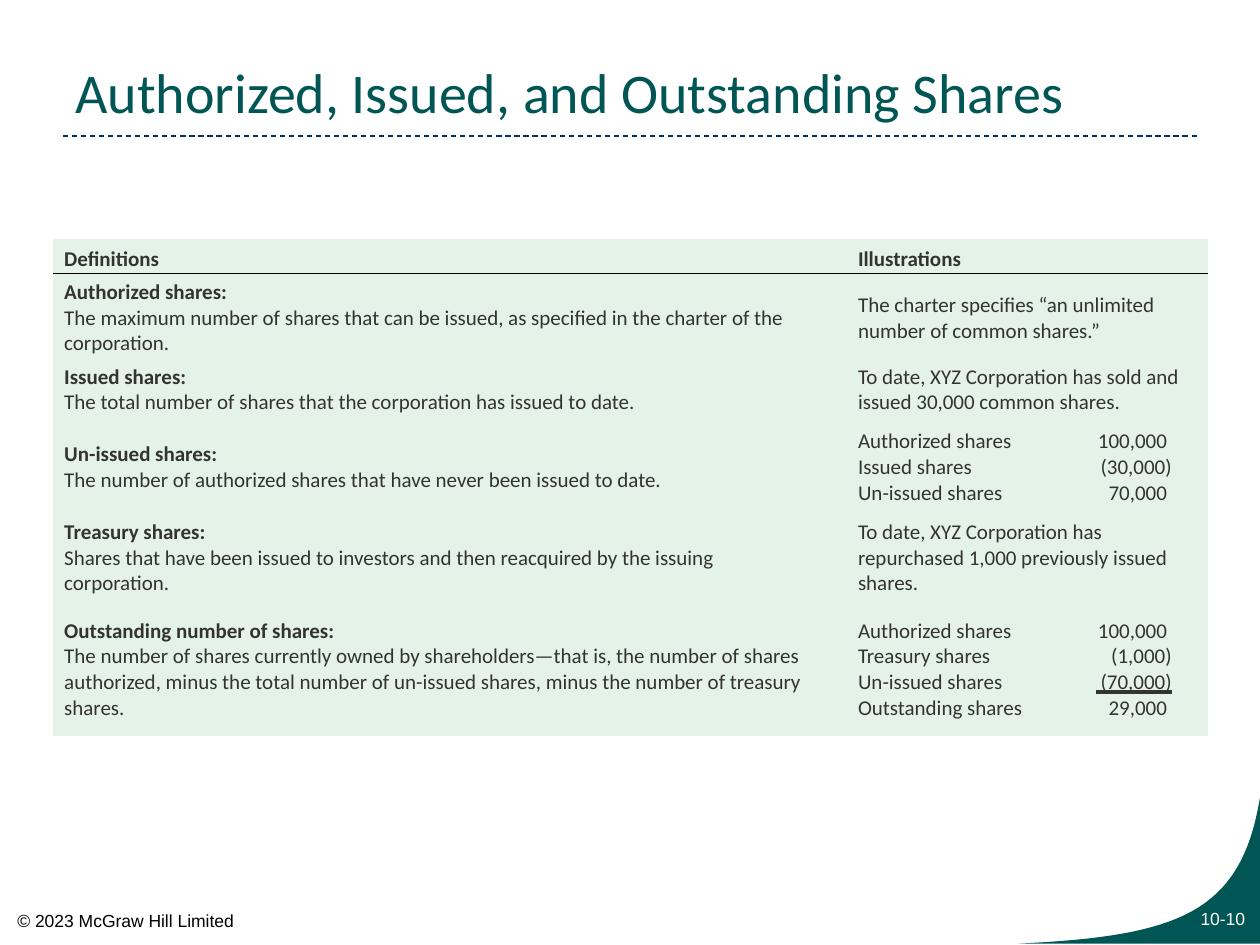
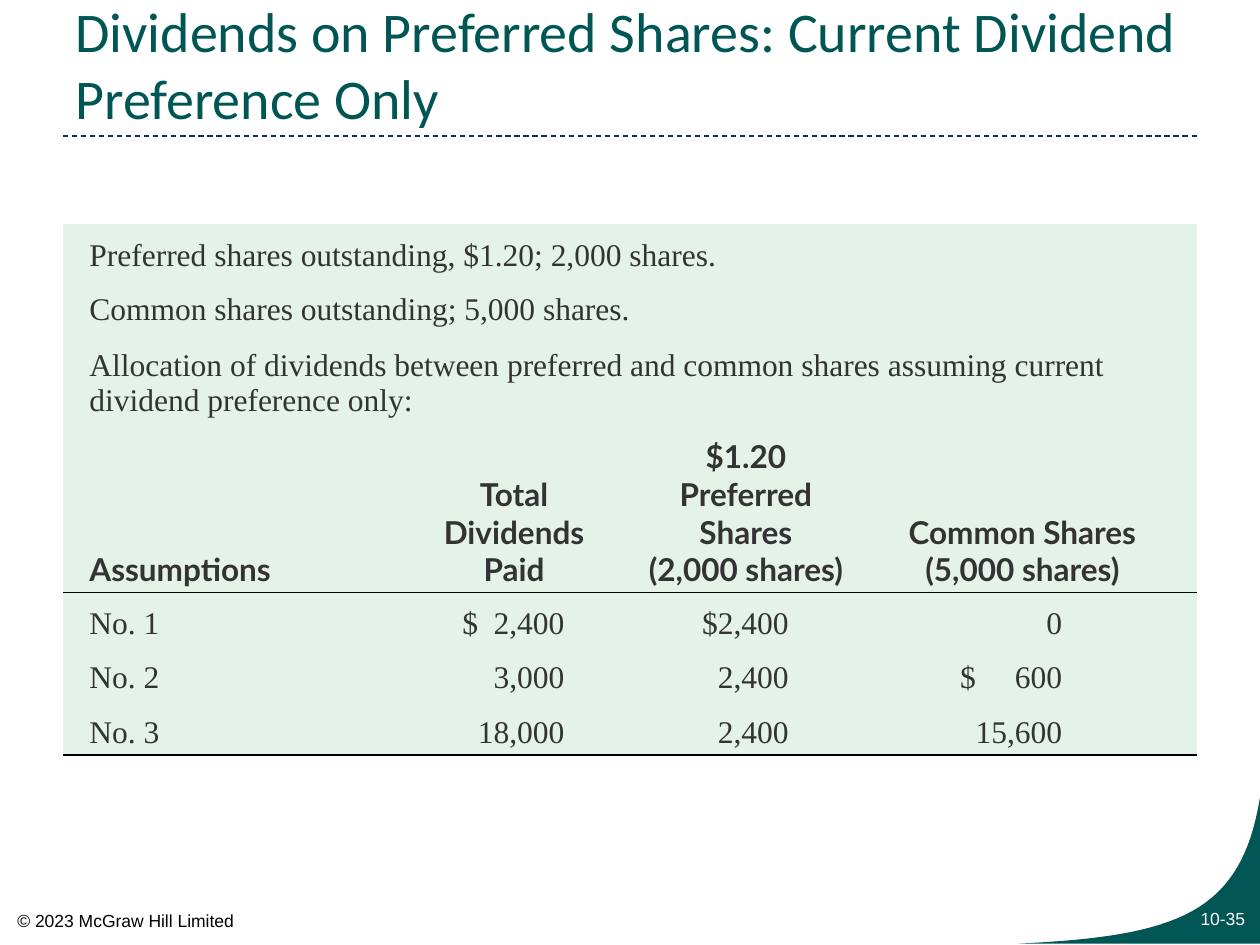
from dataclasses import dataclass

from lxml.etree import SubElement
from pptx import Presentation
from pptx.dml.color import RGBColor
from pptx.enum.dml import MSO_LINE
from pptx.enum.shapes import MSO_CONNECTOR
from pptx.enum.text import MSO_ANCHOR, MSO_UNDERLINE, PP_ALIGN
from pptx.oxml import parse_xml
from pptx.oxml.ns import nsdecls, qn
from pptx.util import Inches, Pt


@dataclass(frozen=True)
class Theme:
    teal: str = "005654"
    navy: str = "003366"
    mint: str = "E4F2E7"
    ink: str = "333333"
    black: str = "000000"
    white: str = "FFFFFF"
    title_font: str = "Calibri"
    footer_font: str = "Arial"
    figure_font: str = "Times New Roman"
    heading_font: str = "Lato"
    title_size: int = 32
    large: int = 18
    small: int = 12
    footer_size: int = 10
    hairline: float = 0.75


@dataclass(frozen=True)
class Box:
    left: float
    top: float
    width: float
    height: float

    def emu(self):
        return [grid(n) for n in (self.left, self.top, self.width, self.height)]


THEME = Theme()
COLUMNS, ROWS = 100, 75  # the slide grid
CENTER, RIGHT = PP_ALIGN.CENTER, PP_ALIGN.RIGHT
PLAIN_TABLE = "{2D5ABB26-0587-4C30-8999-92F81FD0307C}"


def grid(units):
    """One grid unit is a tenth of an inch, across and down."""
    return Inches(units / 10)


def color(code):
    return RGBColor.from_string(code)


def write(frame, text, *, size, font, ink=THEME.ink, align=None, bold=False,
          bold_lines=(), underlined=(), tab=None):
    """Fill a text frame, one paragraph for each line of text."""
    for number, line in enumerate(text.split("\n")):
        paragraph = frame.paragraphs[0] if number == 0 else frame.add_paragraph()
        if tab:
            tabs = SubElement(paragraph._p.get_or_add_pPr(), qn("a:tabLst"))
            SubElement(tabs, qn("a:tab"), pos=str(grid(tab)), algn="r")
        if align is not None:
            paragraph.alignment = align
        if not line:
            SubElement(paragraph._p, qn("a:endParaRPr"), sz=str(size * 100))
            continue
        run = paragraph.add_run()
        run.text = line
        run.font.size, run.font.name = Pt(size), font
        run.font.color.rgb = color(ink)
        run.font.bold = bold or number in bold_lines
        if number in underlined:
            run.font.underline = MSO_UNDERLINE.HEAVY_LINE


def add_label(slide, box, text, anchor=MSO_ANCHOR.TOP, wrap=True, **fmt):
    frame = slide.shapes.add_textbox(*box.emu()).text_frame
    frame.word_wrap = wrap
    frame.vertical_anchor = anchor
    write(frame, text, **fmt)


# Shared parts

def bezier(start, pull_start, pull_end, end, steps=32):
    for step in range(steps + 1):
        t = step / steps
        weights = ((1 - t) ** 3, 3 * t * (1 - t) ** 2, 3 * t * t * (1 - t), t ** 3)
        yield tuple(sum(w * p for w, p in zip(weights, axis))
                    for axis in zip(start, pull_start, pull_end, end))


def add_corner(slide, box):
    right, bottom = box.left + box.width, box.top + box.height
    curve = list(bezier((box.left, bottom), (right - 6.5, bottom - 0.6),
                        (right - 1.5, bottom - 2.4), (right, box.top)))
    outline = [(grid(x), grid(y)) for x, y in curve + [(right, bottom)]]
    builder = slide.shapes.build_freeform(*outline[0], scale=1.0)
    builder.add_line_segments(outline[1:], close=True)
    corner = builder.convert_to_shape()
    corner.shadow.inherit = False
    corner.fill.solid()
    corner.fill.fore_color.rgb = color(THEME.teal)
    corner.line.fill.background()


def add_rule(slide, left, right, top):
    rule = slide.shapes.add_connector(MSO_CONNECTOR.STRAIGHT, grid(left), grid(top),
                                      grid(right), grid(top))
    rule.line.color.rgb = color(THEME.navy)
    rule.line.width = Pt(THEME.hairline)
    rule.line.dash_style = MSO_LINE.DASH
    SubElement(rule._element.spPr, qn("a:effectLst"))


def add_page(deck, title, number, title_top):
    slide = deck.slides.add_slide(deck.slide_layouts[6])
    add_rule(slide, 5, COLUMNS - 5, 10.8)
    add_corner(slide, Box(COLUMNS - 19.2, 63.3, 19.2, 11.6))
    footer = dict(size=THEME.footer_size, font=THEME.footer_font)
    add_label(slide, Box(90, 71.6, 9.8, 2.7), number, ink=THEME.white,
              align=RIGHT, **footer)
    add_label(slide, Box(0.4, 71.7, 19.4, 2.7), "© 2023 McGraw Hill Limited",
              wrap=False, ink=THEME.black, **footer)
    add_label(slide, Box(5, title_top, COLUMNS - 10, 8.7), title,
              anchor=MSO_ANCHOR.BOTTOM, size=THEME.title_size,
              font=THEME.title_font, ink=THEME.teal)
    return slide


# Tables

def add_plain_table(slide, left, top, widths, heights, ruled_rows):
    """Add a mint table with a thin line below each ruled row."""
    box = Box(left, top, sum(widths), sum(heights))
    table = slide.shapes.add_table(len(heights), len(widths), *box.emu()).table
    table.first_row = table.horz_banding = False
    table._tbl.tblPr.find(qn("a:tableStyleId")).text = PLAIN_TABLE
    for column, width in zip(table.columns, widths):
        column.width = grid(width)
    for row_number, (row, height) in enumerate(zip(table.rows, heights)):
        row.height = grid(height)
        for cell in row.cells:
            cell.fill.solid()
            cell.fill.fore_color.rgb = color(THEME.mint)
            if row_number % len(heights) in ruled_rows:
                cell._tc.get_or_add_tcPr().insert(0, parse_xml(
                    f'<a:lnB {nsdecls("a")} w="{Pt(THEME.hairline)}"><a:solidFill>'
                    f'<a:srgbClr val="{THEME.black}"/></a:solidFill></a:lnB>'))
    return table


def fill_cell(table, row, column, text, margins, span=1,
              anchor=MSO_ANCHOR.MIDDLE, **fmt):
    cell = table.cell(row, column)
    if span > 1:
        cell.merge(table.cell(row, column + span - 1))
    (cell.margin_left, cell.margin_top,
     cell.margin_right, cell.margin_bottom) = map(grid, margins)
    cell.vertical_anchor = anchor
    write(cell.text_frame, text, **fmt)


DEFINITIONS = [
    ("Authorized shares:\nThe maximum number of shares that can be issued, as "
     "specified in the charter of the corporation.",
     "The charter specifies “an unlimited number of common shares.”"),
    ("Issued shares:\nThe total number of shares that the corporation has issued "
     "to date.",
     "To date, XYZ Corporation has sold and issued 30,000 common shares."),
    ("Un-issued shares:\nThe number of authorized shares that have never been "
     "issued to date.",
     ("Authorized shares\nIssued shares\nUn-issued shares",
      "100,000 \n(30,000)\n70,000 ", ())),
    ("Treasury shares:\nShares that have been issued to investors and then "
     "reacquired by the issuing corporation.",
     "To date, XYZ Corporation has repurchased 1,000 previously issued shares."),
    ("Outstanding number of shares:\nThe number of shares currently owned by "
     "shareholders—that is, the number of shares authorized, minus the total "
     "number of un-issued shares, minus the number of treasury shares.",
     ("Authorized shares\nTreasury shares\nUn-issued shares\nOutstanding shares",
      "100,000 \n(1,000)\n (70,000)\n29,000 ", (2,))),
]


def add_definitions(slide, left, top):
    table = add_plain_table(slide, left, top, [61.1, 2.3, 17.3, 9.3, 1.7],
                            [2.7, 6.7, 4.7, 7.6, 6.8, 10.9], ruled_rows=[0])
    body = dict(size=THEME.small, font=THEME.title_font)
    term_margins, example_margins = (0.9, 0.5, 0.5, 0.1), (0.5, 0.5, 0.9, 0.1)
    narrow = (0.5, 0.5, 0.5, 0.1)

    # Header
    fill_cell(table, 0, 0, "Definitions", term_margins, bold=True, **body)
    fill_cell(table, 0, 2, "Illustrations", narrow, span=2, bold=True, **body)
    fill_cell(table, 0, 4, "", narrow, **body)

    # Terms with their illustrations
    for row, (term, example) in enumerate(DEFINITIONS, start=1):
        fill_cell(table, row, 0, term, term_margins, bold_lines=[0], **body)
        if isinstance(example, str):
            fill_cell(table, row, 2, example, example_margins, span=3, **body)
            continue
        items, amounts, underlined = example
        fill_cell(table, row, 2, items, narrow, **body)
        fill_cell(table, row, 3, amounts, (0.5, 0.5, 2.9, 0.1), span=2,
                  align=RIGHT, underlined=underlined, **body)

    # Gutter
    for row in range(len(table.rows)):
        fill_cell(table, row, 1, "", narrow, **body)


FACTS = [
    "Preferred shares outstanding, $1.20; 2,000 shares.",
    "Common shares outstanding; 5,000 shares.",
    "Allocation of dividends between preferred and common shares assuming current "
    "dividend preference only:",
]
HEADINGS = ["Assumptions", "Total Dividends Paid",
            "$1.20 Preferred Shares\n(2,000 shares)", "Common Shares\n(5,000 shares)"]
ALLOCATIONS = [
    ("No. 1", "$\t2,400", "$2,400", "0"),
    ("No. 2", "3,000", "2,400", "$\t600"),
    ("No. 3", "18,000", "2,400", "15,600"),
]


def add_allocations(slide, left, top):
    widths = [26.6, 18.4, 18.4, 26.6]
    line = 4.1
    table = add_plain_table(slide, left, top, widths,
                            [line, line, 6.9, 13.3, line, line, line],
                            ruled_rows=[3, 6])
    edge, gap, above, below = 2.1, 1, 1, 0.3
    figures = dict(size=THEME.large, font=THEME.figure_font)

    # Facts
    for row, fact in enumerate(FACTS):
        fill_cell(table, row, 0, fact, (edge, above, edge, below),
                  span=len(widths), **figures)

    # Headings
    for column, heading in enumerate(HEADINGS):
        margins = (gap if column else edge, above,
                   edge if column == len(widths) - 1 else gap, below)
        fill_cell(table, len(FACTS), column, heading, margins,
                  anchor=MSO_ANCHOR.BOTTOM, align=CENTER if column else None,
                  size=THEME.large, font=THEME.heading_font, bold=True)

    # Amounts, lined up on their last digit
    digits_inset = [None, 5.2, 5.8, 10.7]
    dollar_tab = 8.1
    for row, (label, *amounts) in enumerate(ALLOCATIONS, start=len(FACTS) + 1):
        fill_cell(table, row, 0, label, (edge, above, gap, below), **figures)
        for column, amount in enumerate(amounts, start=1):
            inset = digits_inset[column]
            if "\t" in amount:
                indent = widths[column] - inset - dollar_tab
                fill_cell(table, row, column, amount, (indent, above, gap, below),
                          tab=dollar_tab, **figures)
            else:
                fill_cell(table, row, column, amount, (gap, above, inset, below),
                          align=RIGHT, **figures)


def main():
    deck = Presentation()
    deck.slide_width, deck.slide_height = grid(COLUMNS), grid(ROWS)

    shares = add_page(deck, "Authorized, Issued, and Outstanding Shares",
                      "10-10", title_top=1.7)
    add_definitions(shares, 4.2, 19)

    dividends = add_page(
        deck, "Dividends on Preferred Shares: Current Dividend Preference Only",
        "10-35", title_top=2.2)
    add_allocations(dividends, 5, 17.8)

    deck.save("out.pptx")


if __name__ == "__main__":
    main()
